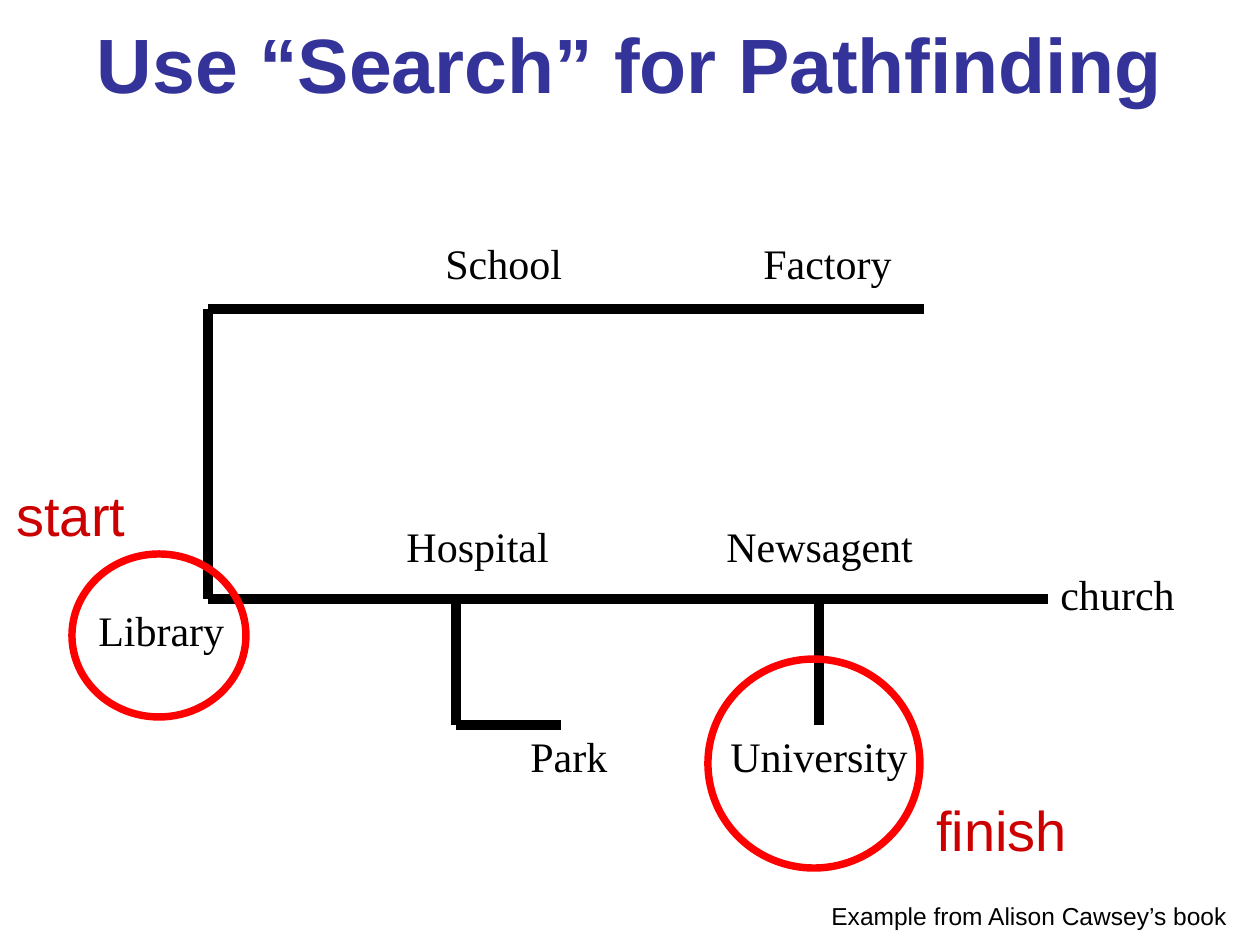
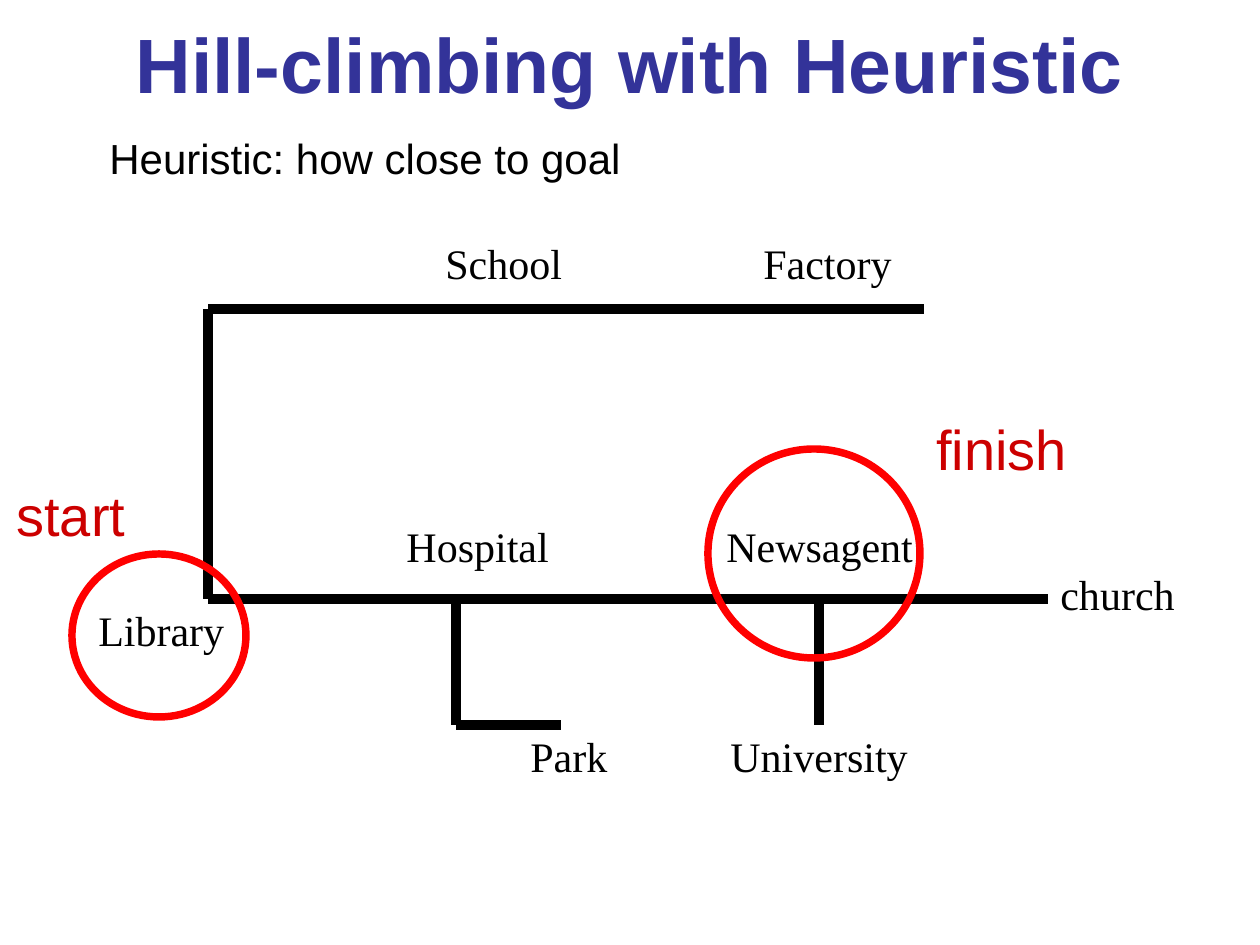
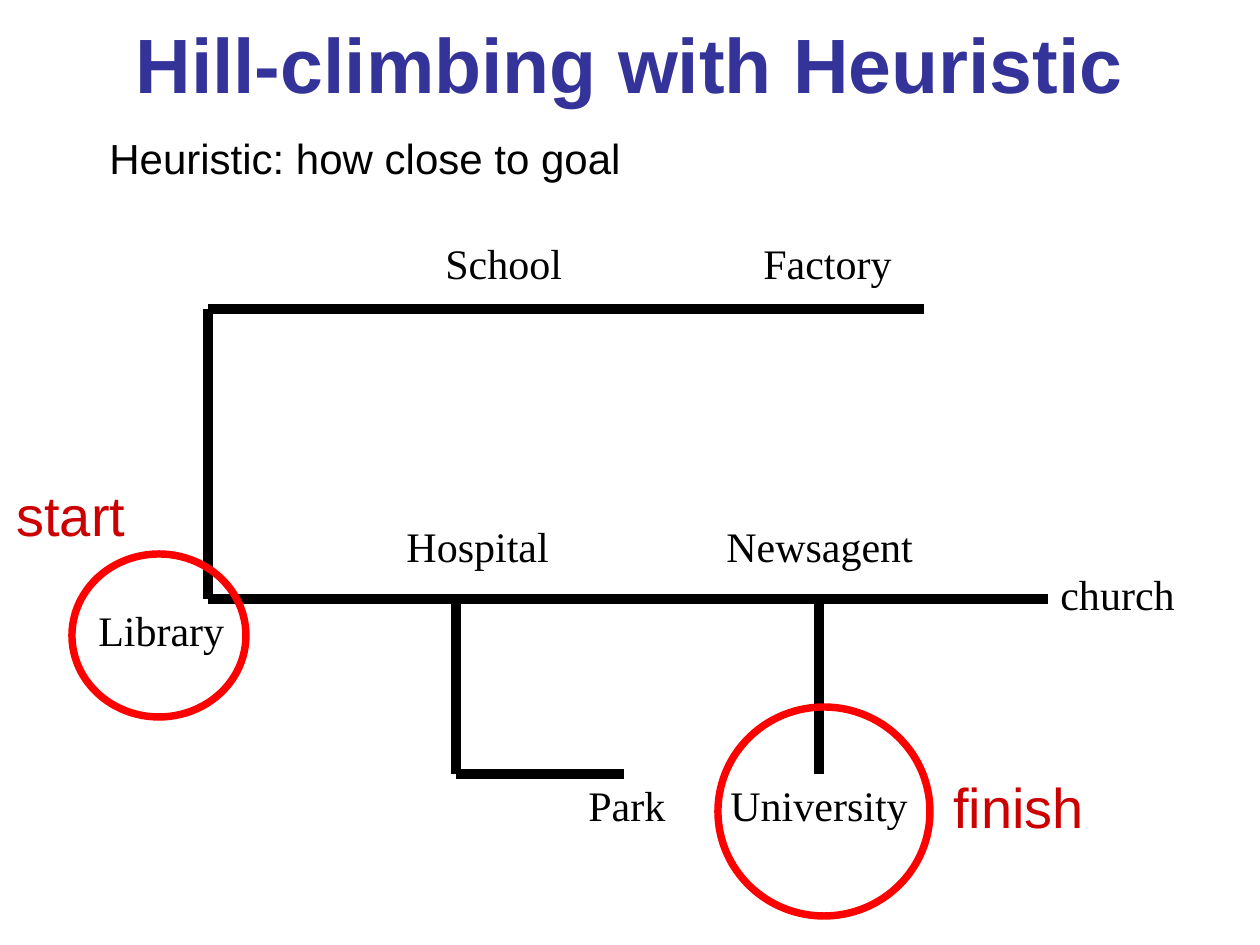
"""Build three slides that find a path through a small town map by search."""
from lxml import etree
from pptx import Presentation
from pptx import util as u
from pptx.dml.color import RGBColor
from pptx.enum import shapes, text
from pptx.oxml.ns import qn

PX = u.Inches(1) / 126
BLACK = RGBColor(0x00, 0x00, 0x00)
NAVY = RGBColor(0x33, 0x33, 0x99)
RED = RGBColor(0xFF, 0x00, 0x00)
DARK_RED = RGBColor(0xCC, 0x00, 0x00)
SANS, SERIF = "Arial", "Times New Roman"

WEST, TOP_ROAD, MAIN_ROAD = 208, 309, 599
PARK_LANE, UNIVERSITY_LANE = 456, 819
HEURISTIC = "Heuristic: how close to goal"

STAGES = [
    dict(title="Use “Search” for Pathfinding", lane_end=725, park_end=561,
         park_left=518, goal=(708, 659), finish=(924, 789),
         note=("Example from Alison Cawsey’s book", 819, 895, 437, 43, 14)),
    dict(title="Hill-climbing with Heuristic", lane_end=725, park_end=561,
         park_left=518, goal=(708, 449), finish=(924, 408),
         note=(HEURISTIC, 97, 126, 930, 63, 24)),
    dict(title="Hill-climbing with Heuristic", lane_end=774, park_end=624,
         park_left=576, goal=(718, 707), finish=(941, 766),
         note=(HEURISTIC, 97, 126, 930, 63, 24)),
]


def emu(*lengths):
    return [u.Emu(round(length * PX)) for length in lengths]


def write(slide, words, left, top, width, height, size, font, colour, wrap):
    frame = slide.shapes.add_textbox(*emu(left, top, width, height)).text_frame
    frame.word_wrap = wrap
    frame.auto_size = text.MSO_AUTO_SIZE.SHAPE_TO_FIT_TEXT
    run = frame.paragraphs[0].add_run()
    run.text = words
    run.font.size, run.font.name = u.Pt(size), font
    run.font.color.rgb = colour


prs = Presentation()
prs.slide_width, prs.slide_height = emu(1260, 945)
title_only = prs.slide_layouts[5]

for stage in STAGES:
    slide = prs.slides.add_slide(title_only)
    lane_end = stage["lane_end"]

    title = slide.shapes.title
    title.left, title.top, title.width, title.height = emu(63, 0, 1134, 126)
    title.text_frame.auto_size = text.MSO_AUTO_SIZE.NONE
    title.text_frame.vertical_anchor = text.MSO_ANCHOR.MIDDLE
    heading = title.text_frame.paragraphs[0]
    heading.alignment = text.PP_ALIGN.CENTER
    run = heading.add_run()
    run.text = stage["title"]
    run.font.size, run.font.name, run.font.bold = u.Pt(44), SANS, True
    run.font.color.rgb = NAVY

    for ends in [
        (924, TOP_ROAD, WEST, TOP_ROAD),
        (WEST, TOP_ROAD, WEST, MAIN_ROAD),
        (WEST, MAIN_ROAD, 1048, MAIN_ROAD),
        (PARK_LANE, MAIN_ROAD, PARK_LANE, lane_end),
        (PARK_LANE, lane_end, stage["park_end"], lane_end),
        (UNIVERSITY_LANE, MAIN_ROAD, UNIVERSITY_LANE, lane_end),
    ]:
        road = slide.shapes.add_connector(shapes.MSO_CONNECTOR.STRAIGHT, *emu(*ends))
        road.line.color.rgb = BLACK
        road.line.width = u.Pt(5.25)
        etree.SubElement(road._element.spPr, qn("a:effectLst"))

    for place, left, top, width in [
        ("Factory", 751, 231, 155),
        ("School", 433, 231, 144),
        ("Library", 86, MAIN_ROAD - 1, 152),
        ("Hospital", 394, 514, 169),
        ("Park", stage["park_left"], lane_end - 1, 103),
        ("Newsagent", 714, 514, 213),
        ("University", 718, lane_end - 1, 205),
        ("church", 1048, 562, 142),
    ]:
        write(slide, place, left, top, width, 63, 24, SERIF, BLACK, False)

    for bounds in [(72, 554, 174, 163), (*stage["goal"], 212, 209)]:
        ring = slide.shapes.add_shape(shapes.MSO_SHAPE.OVAL, *emu(*bounds))
        ring.shadow.inherit = False
        ring.fill.background()
        ring.line.color.rgb = RED
        ring.line.width = u.Pt(4.25)

    write(slide, "start", 4, 474, 135, 81, 32, SANS, DARK_RED, True)
    write(slide, "finish", *stage["finish"], 213, 81, 32, SANS, DARK_RED, True)
    write(slide, *stage["note"], SANS, BLACK, True)

prs.save("out.pptx")
